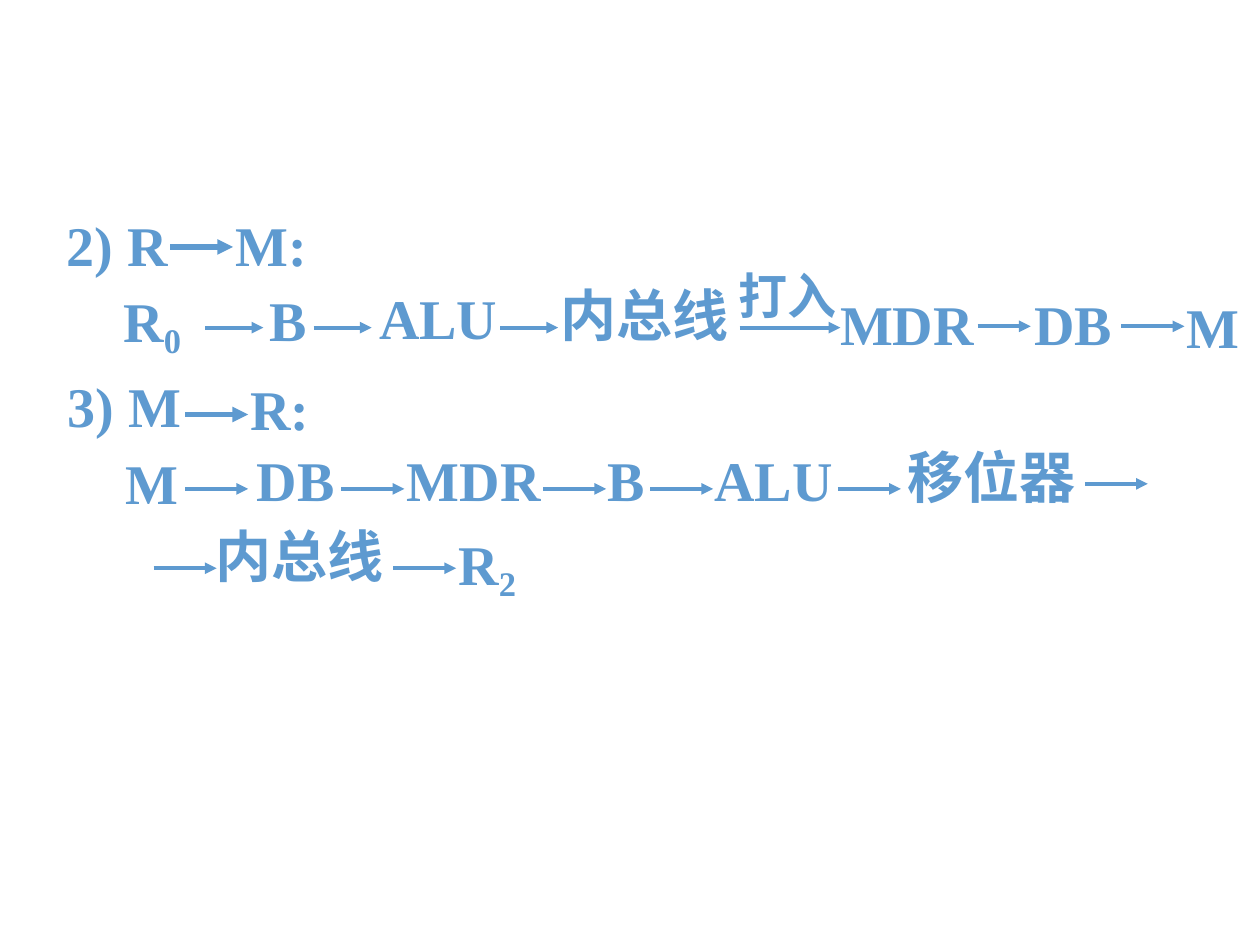
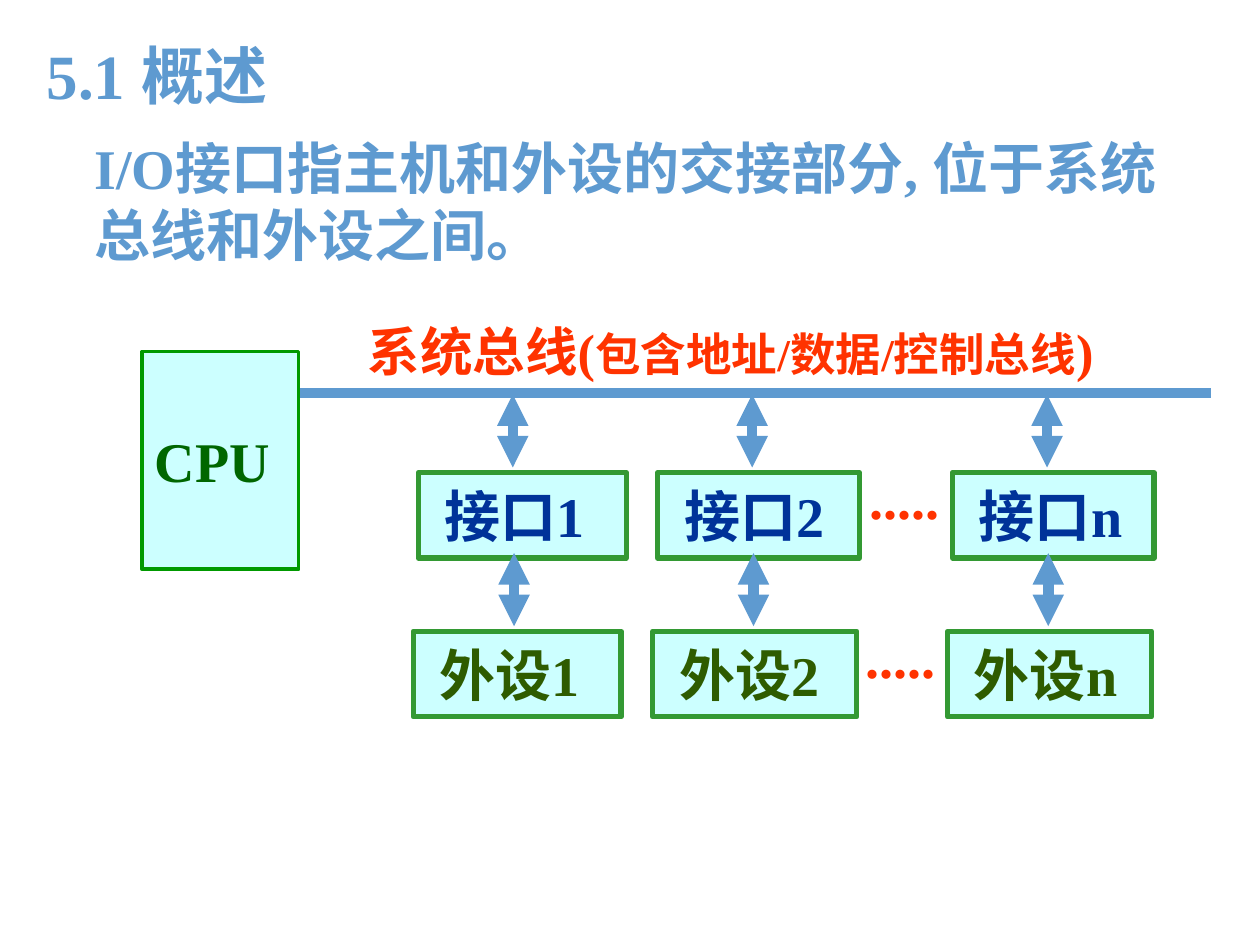
import pptx
import pptx.dml.color
import pptx.enum.shapes
import pptx.enum.text
import pptx.oxml.ns
import pptx.util
from lxml import etree
from pptx.util import Inches

# Shared look
FONT = "Times New Roman"
BLUE, RED, NAVY, OLIVE = "5E9AD0", "FF3300", "003399", "2E5C00"
PALE, BOX_GREEN, CPU_GREEN, CPU_TEXT = "CCFFFF", "339933", "009900", "006600"
TEXT_SIZE, LABEL_HEIGHT = 32, 0.63
TITLE_ONLY, BLANK = 5, 6

# Slide 1: labels are (text, subscript, left, top, width)
TRANSFER_LABELS = [
    ("2) R", "", 0.43, 1.62, 1.17), ("M:", "", 1.77, 1.62, 1.17),
    ("R", "0", 0.88, 2.2, 0.92), ("B", "", 2.04, 2.22, 0.92),
    ("ALU", "", 2.91, 2.2, 1.25), ("内总线", "", 4.35, 2.18, 1.75),
    ("MDR", "", 6.57, 2.25, 1.4), ("DB", "", 8.11, 2.25, 0.92),
    ("M", "", 9.32, 2.27, 0.68),
    ("3) M", "", 0.44, 2.9, 1.17), ("R:", "", 1.89, 2.92, 0.75),
    ("M", "", 0.9, 3.51, 0.92), ("DB", "", 1.94, 3.49, 0.92),
    ("MDR", "", 3.13, 3.49, 1.27), ("B", "", 4.72, 3.49, 0.92),
    ("ALU", "", 5.57, 3.49, 1.25), ("移位器", "", 7.1, 3.46, 1.72),
    ("内总线", "", 1.61, 4.09, 1.7), ("R", "2", 3.54, 4.13, 0.92),
]
# Arrow rows are (y, line width, arrow length, left ends)
TRANSFER_ARROWS = [
    (1.96, 3, 0.5, [1.35]),
    (2.6, 2.25, 0.46, [1.63, 2.49, 3.97]),
    (2.6, 2.25, 0.8, [5.87]),
    (2.59, 2.25, 0.42, [7.76]),
    (2.59, 2.25, 0.5, [8.9]),
    (3.29, 3, 0.5, [1.47]),
    (3.88, 2.25, 0.5, [1.47, 2.71, 4.31, 5.16, 6.65]),
    (3.84, 2.25, 0.5, [8.61]),
    (4.51, 2.25, 0.5, [1.22, 3.12]),
]

# Slide 2
TITLE = "5.1 概述"
DEFINITION = "I/O接口指主机和外设的交接部分, 位于系统总线和外设之间。"
BUS_CAPTION = [("系统总线(", 30), ("包含地址/数据/控制总线", 26), (")", 30)]
# Columns are (suffix, left, interface width, device width)
COLUMNS = [("1", 3.32, 1.65, 1.65), ("2", 5.22, 1.6, 1.62),
           ("n", 7.56, 1.6, 1.62)]
# Levels are (name, text colour, box top, shift of box, arrow top, shift of arrow)
LEVELS = [("接口", NAVY, 3.75, 0, 3.13, 0.75),
          ("外设", OLIVE, 5.01, -0.04, 4.39, 0.76)]
ELLIPSES = [(6.8, 3.63), (6.77, 4.89)]


def color(hex_string):
    return pptx.dml.color.RGBColor.from_string(hex_string)


def add_run(paragraph, text, size=TEXT_SIZE, hex_color=BLUE, baseline=None):
    run = paragraph.add_run()
    run.text = text
    run.font.name = FONT
    run.font.size = pptx.util.Pt(size)
    run.font.bold = True
    run.font.color.rgb = color(hex_color)
    if baseline:
        run._r.get_or_add_rPr().set("baseline", str(baseline))


def prepare_frame(shape, anchor=pptx.enum.text.MSO_ANCHOR.TOP):
    frame = shape.text_frame
    frame.word_wrap = True
    frame.auto_size = pptx.enum.text.MSO_AUTO_SIZE.NONE
    frame.vertical_anchor = anchor
    paragraph = frame.paragraphs[0]
    paragraph.alignment = pptx.enum.text.PP_ALIGN.LEFT
    paragraph.space_before = pptx.util.Pt(0)
    return paragraph


def add_label(slide, left, top, width, height=LABEL_HEIGHT):
    box = slide.shapes.add_textbox(
        Inches(left), Inches(top), Inches(width), Inches(height))
    return prepare_frame(box)


def add_box(slide, left, top, width, height, text, text_color,
            line_color, line_width, indent):
    shape = slide.shapes.add_shape(
        pptx.enum.shapes.MSO_SHAPE.RECTANGLE,
        Inches(left), Inches(top), Inches(width), Inches(height))
    shape.shadow.inherit = False
    shape.fill.solid()
    shape.fill.fore_color.rgb = color(PALE)
    shape.line.color.rgb = color(line_color)
    shape.line.width = pptx.util.Pt(line_width)
    paragraph = prepare_frame(shape, pptx.enum.text.MSO_ANCHOR.MIDDLE)
    shape.text_frame.margin_left = Inches(indent)
    add_run(paragraph, text, hex_color=text_color)


def add_line(slide, start, end, width, arrowheads=()):
    line = slide.shapes.add_connector(
        pptx.enum.shapes.MSO_CONNECTOR.STRAIGHT,
        *(Inches(value) for value in start + end))
    line.line.color.rgb = color(BLUE)
    line.line.width = pptx.util.Pt(width)
    outline = line.line._get_or_add_ln()
    for name in arrowheads:
        head = etree.SubElement(outline, pptx.oxml.ns.qn("a:" + name))
        head.set("type", "triangle")
    etree.SubElement(line._element.spPr, pptx.oxml.ns.qn("a:effectLst"))


def build_transfers(presentation):
    slide = presentation.slides.add_slide(presentation.slide_layouts[BLANK])
    for text, subscript, left, top, width in TRANSFER_LABELS:
        paragraph = add_label(slide, left, top, width)
        add_run(paragraph, text)
        if subscript:
            add_run(paragraph, subscript, 34, baseline=-18000)
    add_run(add_label(slide, 5.76, 2.06, 1.17, 0.57), "打入", 28)
    for y, width, length, lefts in TRANSFER_ARROWS:
        for left in lefts:
            add_line(slide, (left, y), (left + length, y), width, ["tailEnd"])


def build_overview(presentation):
    slide = presentation.slides.add_slide(
        presentation.slide_layouts[TITLE_ONLY])

    # Title and definition
    title = slide.shapes.title
    title.left, title.top = Inches(0.27), Inches(0.24)
    title.width, title.height = Inches(6.31), Inches(0.7)
    add_run(prepare_frame(title), TITLE, 36)
    add_run(add_label(slide, 0.65, 1.01, 9.01, 1.17), DEFINITION)

    # CPU and system bus
    add_line(slide, (2.36, 3.12), (9.61, 3.12), 6)
    add_box(slide, 1.13, 2.79, 1.24, 1.73, "CPU", CPU_TEXT, CPU_GREEN, 2.25, 0.1)
    caption = add_label(slide, 2.82, 2.48, 6.98, 0.6)
    for text, size in BUS_CAPTION:
        add_run(caption, text, size, RED)

    # Interfaces and devices, each reached by a double arrow
    for suffix, left, *widths in COLUMNS:
        for level, width in zip(LEVELS, widths):
            name, text_color, top, box_shift, arrow_top, arrow_shift = level
            add_box(slide, left + box_shift, top, width, 0.68, name + suffix,
                    text_color, BOX_GREEN, 3, 0.21)
            x = left + arrow_shift
            add_line(slide, (x, arrow_top + 0.58), (x, arrow_top), 6,
                     ["headEnd", "tailEnd"])
    for left, top in ELLIPSES:
        add_run(add_label(slide, left, top, 1.32), ".....", hex_color=RED)


def main():
    presentation = pptx.Presentation()
    presentation.slide_width = Inches(10)
    presentation.slide_height = Inches(7.5)
    build_transfers(presentation)
    build_overview(presentation)
    presentation.save("out.pptx")


if __name__ == "__main__":
    main()
